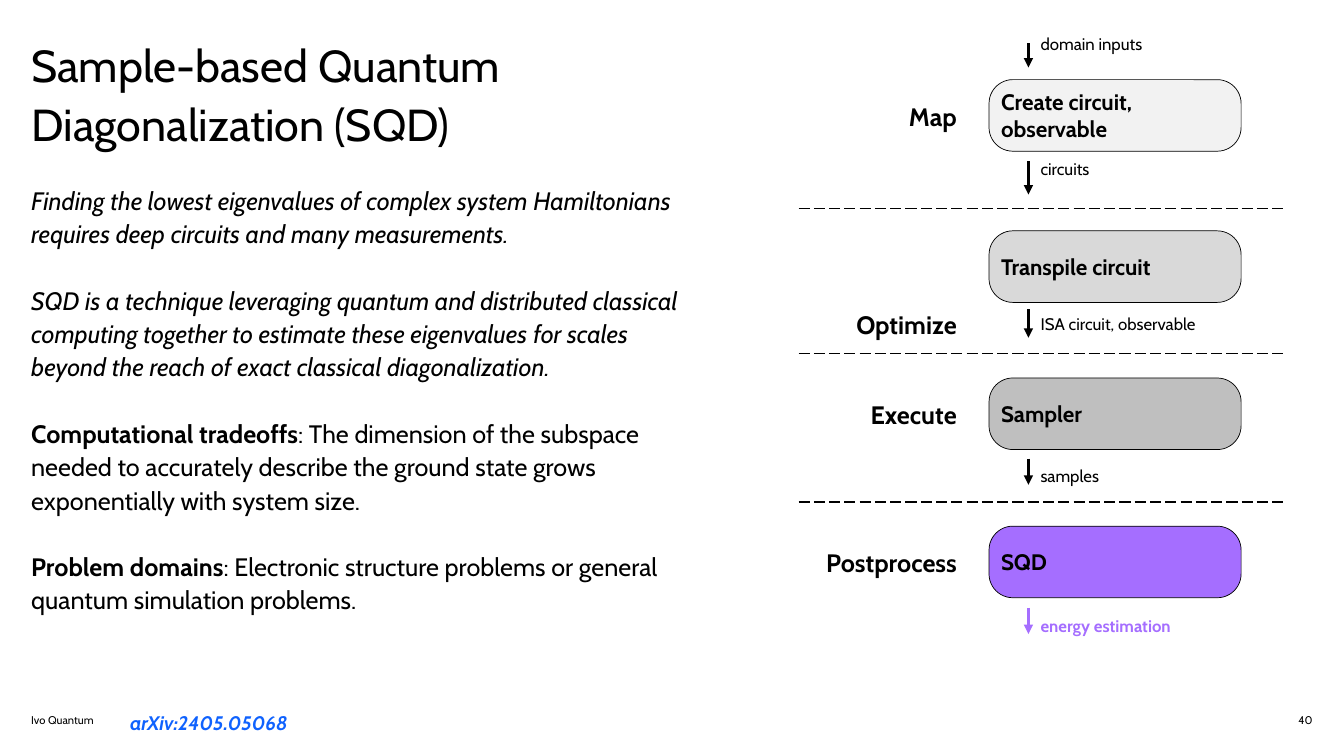
"""Build the slide on sample-based quantum diagonalization."""
import dataclasses

import lxml.etree
import pptx
import pptx.dml.color
import pptx.enum.dml
import pptx.enum.shapes
import pptx.enum.text
import pptx.oxml.ns
import pptx.util

Inches = pptx.util.Inches
Pt = pptx.util.Pt
ALIGN = pptx.enum.text.PP_ALIGN
ANCHOR = pptx.enum.text.MSO_ANCHOR


@dataclasses.dataclass(frozen=True)
class Theme:
    """Font, colours and type sizes of the slide."""
    font: str = "Cabin"
    black: str = "000000"
    purple: str = "A56EFF"
    link: str = "0F62FE"
    stage_fills: tuple = ("F2F2F2", "D9D9D9", "BFBFBF", "A56EFF")
    title: int = 32
    body: int = 18
    stage: int = 16
    cite: int = 14
    flow: int = 12
    footer: int = 8


THEME = Theme()

BODY = [
    [("Finding the lowest eigenvalues of complex system Hamiltonians requires "
      "deep circuits and many measurements.", {"italic": True})],
    [("SQD is a technique leveraging quantum and distributed classical computing "
      "together to estimate these eigenvalues\u00a0for scales beyond the reach of exact "
      "classical diagonalization.", {"italic": True})],
    [("Computational tradeoffs", {"bold": True}),
     (": The dimension of the subspace needed to accurately describe the ground "
      "state grows exponentially with system size.", {})],
    [("Problem domains", {"bold": True}),
     (": Electronic structure problems or general quantum simulation problems.", {})],
]

STAGES = [
    {"name": "Map", "step": "Create circuit, observable", "output": "circuits",
     "top": 0.46, "name_dy": 0.22, "arrow_dy": 0.81, "arrow_len": 0.33, "output_dy": 0.78},
    {"name": "Optimize", "step": "Transpile circuit", "output": "ISA circuit, observable",
     "top": 1.96, "name_dy": 0.78, "arrow_dy": 0.78, "arrow_len": 0.28, "output_dy": 0.82},
    {"name": "Execute", "step": "Sampler", "output": "samples",
     "top": 3.42, "name_dy": 0.21, "arrow_dy": 0.8, "arrow_len": 0.26, "output_dy": 0.87},
    {"name": "Postprocess", "step": "SQD", "output": "energy estimation",
     "top": 4.89, "name_dy": 0.21, "arrow_dy": 0.81, "arrow_len": 0.26, "output_dy": 0.89},
]
DIVIDERS = [1.74, 3.18, 4.65]


def rgb(color):
    """Turn a hex string into a colour."""
    return pptx.dml.color.RGBColor.from_string(color)


def add_run(p, text, size, color=THEME.black, bold=False, italic=False):
    """Append a formatted run to a paragraph."""
    r = p.add_run()
    r.text = text
    r.font.name = THEME.font
    r.font.size = Pt(size)
    r.font.color.rgb = rgb(color)
    r.font.bold = bold
    r.font.italic = italic


def set_frame(tf, anchor=ANCHOR.TOP, left=0, right=0):
    """Set wrapping, anchor and insets of a text frame."""
    tf.word_wrap = True
    tf.vertical_anchor = anchor
    tf.margin_left, tf.margin_right = Inches(left), Inches(right)
    tf.margin_top = tf.margin_bottom = 0


def add_text(s, text, box, align=ALIGN.LEFT, anchor=ANCHOR.TOP, spacing=None, **fmt):
    """Add a one-paragraph text box."""
    tf = s.shapes.add_textbox(*map(Inches, box)).text_frame
    set_frame(tf, anchor)
    p = tf.paragraphs[0]
    p.alignment = align
    if spacing:
        p.line_spacing = spacing
    add_run(p, text, **fmt)


def add_line(s, start, end, color=THEME.black, width=1.0, dashed=False, arrow=False):
    """Add a straight line, optionally dashed or with an arrowhead."""
    qn = pptx.oxml.ns.qn
    line = s.shapes.add_connector(pptx.enum.shapes.MSO_CONNECTOR.STRAIGHT,
                                  *map(Inches, start + end))
    line.line.color.rgb = rgb(color)
    line.line.width = Pt(width)
    if dashed:
        line.line.dash_style = pptx.enum.dml.MSO_LINE.LONG_DASH
    if arrow:
        ln = line.line._get_or_add_ln()
        lxml.etree.SubElement(ln, qn("a:tailEnd"), type="triangle")
    lxml.etree.SubElement(line._element.spPr, qn("a:effectLst"))


def add_step(s, text, fill, box):
    """Add a rounded box holding the name of a step."""
    sp = s.shapes.add_shape(pptx.enum.shapes.MSO_SHAPE.ROUNDED_RECTANGLE, *map(Inches, box))
    sp.adjustments[0] = 0.332
    sp.shadow.inherit = False
    sp.fill.solid()
    sp.fill.fore_color.rgb = rgb(fill)
    sp.line.color.rgb = rgb(THEME.black)
    sp.line.width = Pt(0.5)
    set_frame(sp.text_frame, ANCHOR.MIDDLE, left=0.05, right=0.24)
    p = sp.text_frame.paragraphs[0]
    p.alignment = ALIGN.LEFT
    add_run(p, text, THEME.stage, bold=True)


def add_flow(s, text, x, text_y, arrow_y, length, color=THEME.black, bold=False):
    """Add a downward arrow with its label."""
    add_line(s, (x, arrow_y), (x, arrow_y + length), color, 2.25, arrow=True)
    add_text(s, text, (x + 0.12, text_y, 1.89, 0.2), size=THEME.flow, color=color, bold=bold)


def add_explanation(s, left, top, width, height):
    """Add the title and the paragraphs below it."""
    add_text(s, "Sample-based Quantum Diagonalization (SQD)", (left, top, 7.35, 1.04),
             spacing=1.1, size=THEME.title)
    body = (left, top + 1.49, width, height - 1.49)
    tf = s.shapes.add_textbox(*map(Inches, body)).text_frame
    set_frame(tf)
    for i, runs in enumerate(BODY):
        p = tf.add_paragraph() if i else tf.paragraphs[0]
        p.line_spacing = 1.1
        if i:
            p.space_before = Pt(23.8)
        for text, fmt in runs:
            add_run(p, text, THEME.body, **fmt)


def add_workflow(s, left, top, width):
    """Add the four stages with their arrows and dividers."""
    arrow_x = left + 2.54
    add_flow(s, "domain inputs", arrow_x, top, top + 0.1, 0.24)
    for stage, fill in zip(STAGES, THEME.stage_fills):
        y = top + stage["top"]
        last = stage is STAGES[-1]
        add_text(s, stage["name"], (left, y + stage["name_dy"], 1.83, 0.3),
                 align=ALIGN.RIGHT, size=THEME.body, bold=True)
        add_step(s, stage["step"], fill, (left + 2.15, y, 2.5, 0.71))
        add_flow(s, stage["output"], arrow_x, y + stage["output_dy"], y + stage["arrow_dy"],
                 stage["arrow_len"], THEME.purple if last else THEME.black, last)
    for dy in DIVIDERS:
        add_line(s, (left + 0.26, top + dy), (left + width, top + dy), dashed=True)


def add_footer(s, left, top, width):
    """Add the owner, the citation and the page number."""
    add_text(s, "Ivo Quantum", (left, top, 0.9, 0.21), anchor=ANCHOR.BOTTOM, size=THEME.footer)
    add_text(s, "arXiv:2405.05068", (left + 0.98, top + 0.05, 3.7, 0.24),
             size=THEME.cite, color=THEME.link, bold=True, italic=True)
    add_text(s, "40", (left + width - 0.5, top + 0.08, 0.5, 0.13),
             align=ALIGN.RIGHT, anchor=ANCHOR.MIDDLE, size=THEME.footer)


def main():
    """Build and save the presentation."""
    prs = pptx.Presentation()
    prs.slide_width, prs.slide_height = Inches(13.33), Inches(7.5)
    s = prs.slides.add_slide(prs.slide_layouts[6])
    add_explanation(s, 0.31, 0.32, 6.53, 6.36)
    add_workflow(s, 7.66, 0.33, 5.08)
    add_footer(s, 0.31, 7, 12.71)
    prs.save("out.pptx")


if __name__ == "__main__":
    main()
